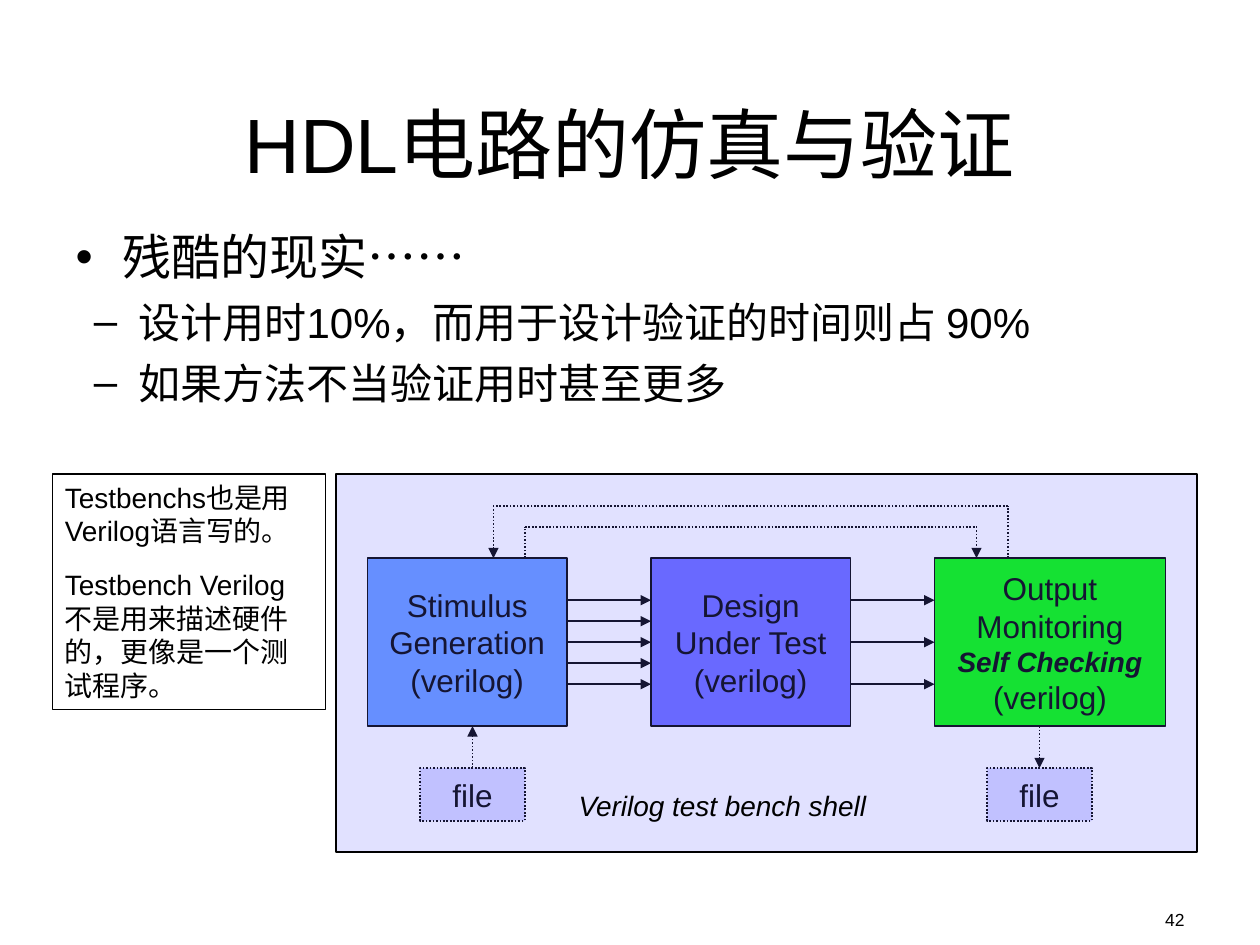
from lxml.etree import SubElement
from pptx import Presentation
from pptx.dml.color import RGBColor
from pptx.enum.dml import MSO_LINE
from pptx.enum.shapes import MSO_CONNECTOR as CONN, MSO_SHAPE as SHAPE
from pptx.enum.text import MSO_ANCHOR as ANCHOR, MSO_AUTO_SIZE as AUTO, PP_ALIGN as ALIGN
from pptx.oxml.ns import qn
from pptx.util import Pt


def color(hex_str):
    return RGBColor.from_string(hex_str)


def apply(target, values):
    for name, value in values.items():
        setattr(target, name, value)


class Deck:
    """Drawing style together with the slide being filled."""
    INK, FONT = "000000", "Arial"
    FRAME = dict(margin_left=Pt(7.2), margin_right=Pt(7.2), margin_top=Pt(3.6),
                 margin_bottom=Pt(3.6), auto_size=AUTO.NONE)

    def __init__(self, slide):
        self.s = slide

    def set_text(self, sp, lines, size, para=None, font=None, frame=None):
        """Fill sp; a line is a string or a (string, font overrides) pair."""
        tf = sp.text_frame
        apply(tf, {**self.FRAME, "word_wrap": True, **(frame or {})})
        for i, line in enumerate(lines):
            text, extra = (line, {}) if isinstance(line, str) else line
            p = tf.add_paragraph() if i else tf.paragraphs[0]
            apply(p, para or {})
            r = p.add_run()
            r.text = text
            apply(r.font, {"name": self.FONT, "size": Pt(size), **(font or {}), **extra})
            r.font.color.rgb = color(self.INK)
        return tf

    def place(self, sp, x, y, w, h):
        apply(sp, dict(left=Pt(x), top=Pt(y), width=Pt(w), height=Pt(h)))

    def title(self, text, *box):
        sp = self.s.shapes.title
        self.place(sp, *box)
        self.set_text(sp, [text], 44, {"alignment": ALIGN.CENTER},
                      frame={"vertical_anchor": ANCHOR.BOTTOM})

    def bullets(self, items, levels, *box):
        """items are (level, text); levels hold mark, size, margin, hang, space before."""
        sp = self.s.placeholders[1]
        self.place(sp, *box)
        lines = [(text, {"size": Pt(levels[lvl][1])}) for lvl, text in items]
        tf = self.set_text(sp, lines, levels[0][1], frame={"vertical_anchor": ANCHOR.TOP})
        for p, (lvl, _) in zip(tf.paragraphs, items):
            mark, _, margin, hang, before = levels[lvl]
            apply(p, dict(level=lvl, space_before=Pt(before)))
            pPr = p._p.get_or_add_pPr()
            pPr.set("marL", str(Pt(margin)))
            pPr.set("indent", str(-Pt(hang)))
            SubElement(pPr, qn("a:buFont"), typeface=self.FONT)
            SubElement(pPr, qn("a:buChar"), char=mark)

    def text(self, lines, size, *box, **style):
        sp = self.s.shapes.add_textbox(*map(Pt, box))
        self.set_text(sp, lines, size, **style)

    def stroke(self, line, dotted):
        line.color.rgb = color(self.INK)
        line.width = Pt(1)
        if dotted:
            line.dash_style = MSO_LINE.ROUND_DOT

    def rect(self, *box, fill=None, alpha=None, dotted=False):
        sp = self.s.shapes.add_shape(SHAPE.RECTANGLE, *map(Pt, box))
        sp.shadow.inherit = False
        if fill:
            sp.fill.solid()
            sp.fill.fore_color.rgb = color(fill)
        else:
            sp.fill.background()
        if alpha:
            srgb = sp._element.spPr.find(qn("a:solidFill"))[0]
            SubElement(srgb, qn("a:alpha"), val=str(alpha * 1000))
        self.stroke(sp.line, dotted)
        return sp

    def block(self, lines, *box, **look):
        self.set_text(self.rect(*box, **look), lines, 18, {"alignment": ALIGN.CENTER},
                      frame={"word_wrap": False, "vertical_anchor": ANCHOR.MIDDLE})

    def route(self, *points, dotted=False):
        """Straight segments through the points, with an arrowhead at the last."""
        for a, b in zip(points, points[1:]):
            cx = self.s.shapes.add_connector(CONN.STRAIGHT, *map(Pt, a + b))
            self.stroke(cx.line, dotted)
            spPr = cx._element.spPr
            if b == points[-1]:
                SubElement(spPr.find(qn("a:ln")), qn("a:tailEnd"), type="triangle")
            SubElement(spPr, qn("a:effectLst"))


def main():
    prs = Presentation()
    apply(prs, dict(slide_width=Pt(720), slide_height=Pt(540)))
    d = Deck(prs.slides.add_slide(prs.slide_layouts[1]))

    d.text(["42"], 10, 516, 516, 168, 18, para={"alignment": ALIGN.RIGHT})
    d.title("HDL电路的仿真与验证", 36, 21.6, 648, 90)
    d.bullets([(0, "残酷的现实……"),
               (1, "设计用时10%，而用于设计验证的时间则占 90%"),
               (1, "如果方法不当验证用时甚至更多")],
              [("•", 28, 27, 27, 7), ("–", 24, 36, 25.5, 6)],
              36, 126, 648, 150)

    top = 271
    box_y, box_h, box_w = top + 48, 96, 114
    box_end = box_y + box_h
    file_y = box_end + 24
    stim_x, dut_x, out_x = 210, 372, 534
    violet = "6969FF"

    for x, w, fill, lines in [
            (dut_x, box_w, violet, ["Design", "Under Test", "(verilog)"]),
            (stim_x, box_w, "6699FF", ["Stimulus", "Generation", "(verilog)"]),
            (out_x, 132, "00FF00",
             ["Output", "Monitoring",
              ("Self Checking", dict(size=Pt(16), bold=True, italic=True)), "(verilog)"])]:
        d.block(lines, x, box_y, w, box_h, fill=fill)

    for start, end, count in [(stim_x + box_w, dut_x, 5), (dut_x + box_w, out_x, 3)]:
        for i in range(count):
            y = box_y + 24 + i * 48 / (count - 1)
            d.route((start, y), (end, y))

    for start, end, rise in [(300, 558, 18), (576, 282, 30)]:
        y = box_y - rise
        d.route((start, box_y), (start, y), (end, y), (end, box_y), dotted=True)

    for x in (240, 564):
        d.block(["file"], x, file_y, 60, 30, fill=violet, alpha=26, dotted=True)
    d.route((270, file_y), (270, box_end), dotted=True)
    d.route((594, box_end), (594, file_y), dotted=True)

    d.rect(192, top, 492, 216, fill=violet, alpha=20)
    d.text(["Verilog test bench shell"], 16, 323.5, 447, 179, 27,
           font={"italic": True}, frame={"word_wrap": False})

    note = d.rect(30, top, 156, 134.5)
    tf = d.set_text(note, ["Testbenchs也是用Verilog语言写的。",
                           "Testbench Verilog不是用来描述硬件的，更像是一个测试程序。"],
                    16, {"alignment": ALIGN.LEFT}, frame={"vertical_anchor": ANCHOR.TOP})
    tf.paragraphs[1].space_before = Pt(11.5)

    prs.save("out.pptx")


if __name__ == "__main__":
    main()
